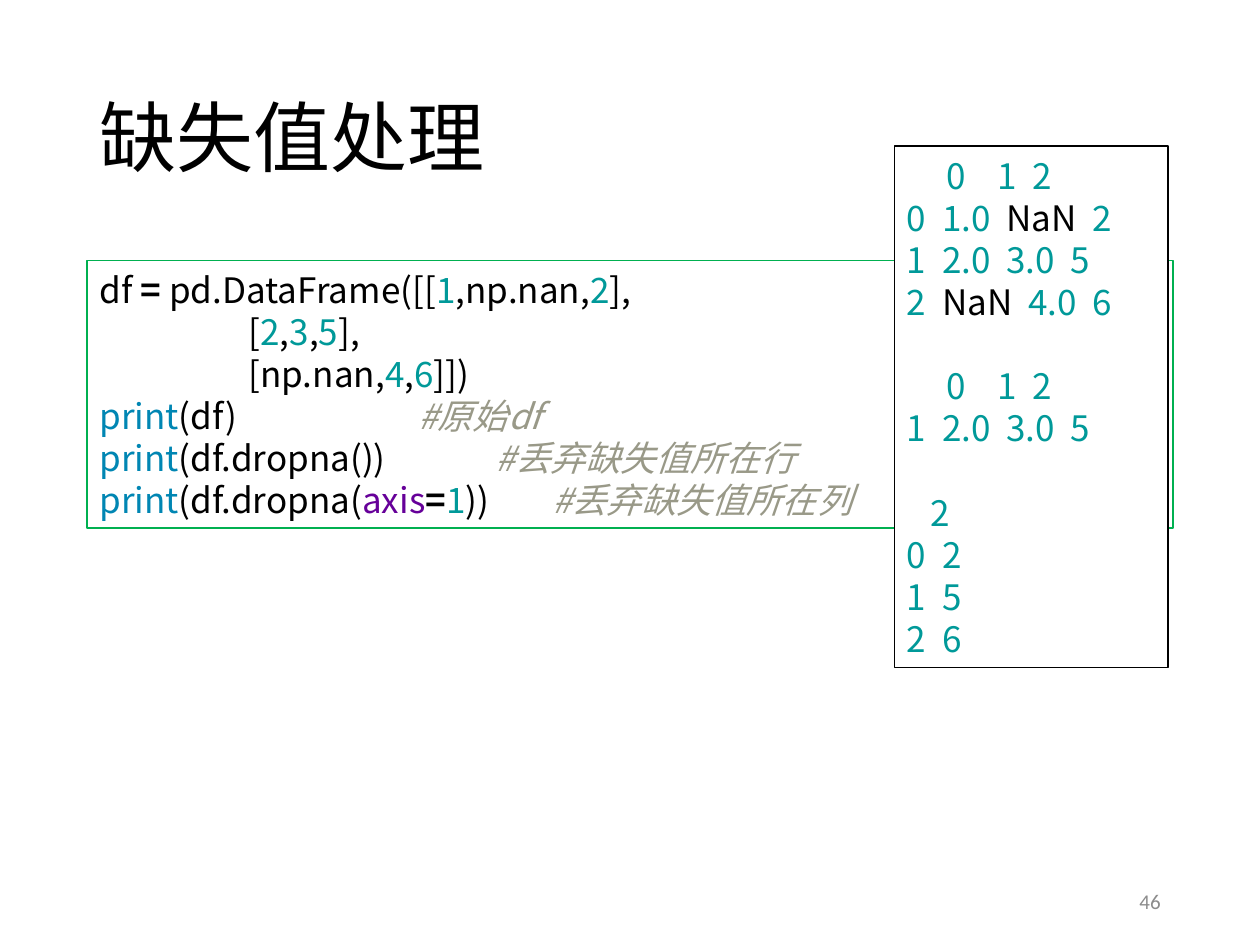
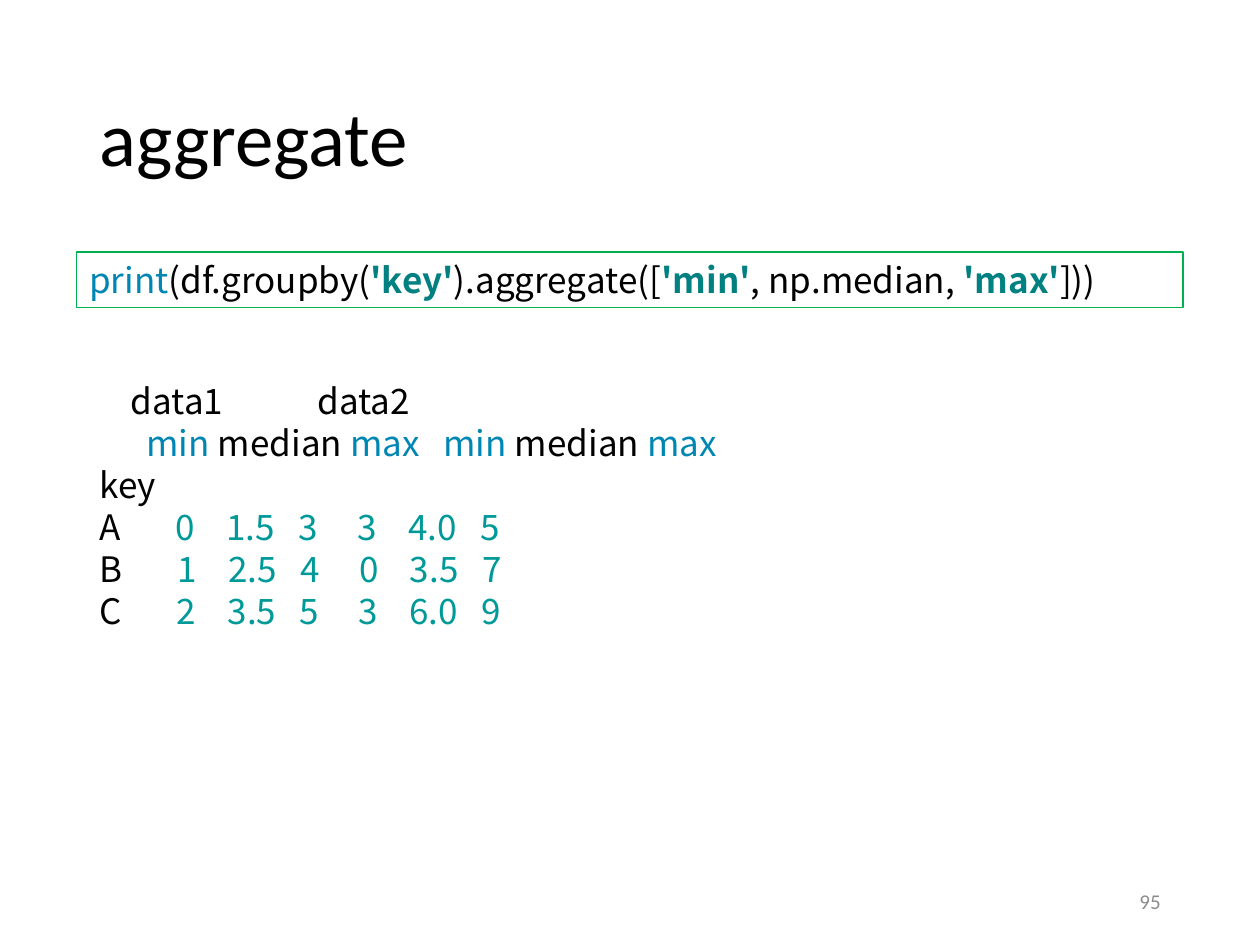
from pptx import Presentation
from pptx.dml.color import RGBColor
from pptx.enum.shapes import MSO_SHAPE as Shape
from pptx.enum.text import MSO_ANCHOR as Anchor, PP_ALIGN as Align
from pptx.oxml.ns import qn
from pptx.util import Inches, Pt
from lxml.etree import SubElement

BLACK = RGBColor(0x00, 0x00, 0x00)
WHITE = RGBColor(0xFF, 0xFF, 0xFF)
GREEN = RGBColor(0x00, 0xB0, 0x50)
GREY = RGBColor(0x8C, 0x8C, 0x8C)
TEAL = RGBColor(0x00, 0x99, 0x99)
DARK_TEAL = RGBColor(0x00, 0x80, 0x80)
BLUE = RGBColor(0x00, 0x86, 0xB3)
PURPLE = RGBColor(0x66, 0x00, 0x99)
OLIVE = RGBColor(0x99, 0x99, 0x88)

TITLE_FONT = "Calibri"
CODE_FONT = "Noto Sans CJK SC"
CODE_LINE = Pt(24)

# Syntax styles: colour, bold, italic
PLAIN = (BLACK, False, False)
OPERATOR = (BLACK, True, False)
NUMBER = (TEAL, False, False)
BUILTIN = (BLUE, False, False)
OPTION = (PURPLE, False, False)
STRING = (DARK_TEAL, True, False)
COMMENT = (OLIVE, False, True)

# Places are left, top, width, height in percent of the slide
TITLE_PLACE = (6.9, 5.33, 86.2, 19.33)
NUMBER_PLACE = (70.6, 92.67, 22.5, 5.33)

INDENT = " " * 19
dropna_code = [
    [("df ", PLAIN), ("= ", OPERATOR), ("pd.DataFrame([[", PLAIN), ("1", NUMBER),
     (",np.nan,", PLAIN), ("2", NUMBER), ("],", PLAIN)],
    [(INDENT + "[", PLAIN), ("2", NUMBER), (",", PLAIN), ("3", NUMBER),
     (",", PLAIN), ("5", NUMBER), ("],", PLAIN)],
    [(INDENT + "[np.nan,", PLAIN), ("4", NUMBER), (",", PLAIN), ("6", NUMBER),
     ("]])", PLAIN)],
    [("print", BUILTIN), ("(df)                       ", PLAIN), ("#原始df", COMMENT)],
    [("print", BUILTIN), ("(df.dropna())              ", PLAIN),
     ("#丢弃缺失值所在行", COMMENT)],
    [("print", BUILTIN), ("(df.dropna(", PLAIN), ("axis", OPTION), ("=", OPERATOR),
     ("1", NUMBER), ("))        ", PLAIN), ("#丢弃缺失值所在列", COMMENT)],
]
original_frame = [
    [("     0    1  2", NUMBER)],
    [("0  1.0  ", NUMBER), ("NaN  ", PLAIN), ("2", NUMBER)],
    [("1  2.0  3.0  5", NUMBER)],
    [("2  ", NUMBER), ("NaN  ", PLAIN), ("4.0  6", NUMBER)],
]
rows_dropped = [[("     0    1  2", NUMBER)], [("1  2.0  3.0  5", NUMBER)]]
columns_dropped = [[(line, NUMBER)] for line in ("   2", "0  2", "1  5", "2  6")]

aggregate_code = [
    [("print", BUILTIN), ("(df.groupby(", PLAIN), ("'key'", STRING),
     (").aggregate([", PLAIN), ("'min'", STRING), (", np.median, ", PLAIN),
     ("'max'", STRING), ("]))", PLAIN)],
]
aggregate_result = [
    [("    data1            data2", PLAIN)],
    [("      ", PLAIN), ("min ", BUILTIN), ("median ", PLAIN), ("max   min ", BUILTIN),
     ("median ", PLAIN), ("max", BUILTIN)],
    [("key", PLAIN)],
    [("A       ", PLAIN), ("0    1.5   3     3    4.0   5", NUMBER)],
    [("B       ", PLAIN), ("1    2.5   4     0    3.5   7", NUMBER)],
    [("C       ", PLAIN), ("2    3.5   5     3    6.0   9", NUMBER)],
]

# Each slide: title, number, panels of (place, border colour, blocks of lines)
slides = [
    ("缺失值处理", "46", [
        ((6.9, 27.6, 86.2, 28.27), GREEN, [dropna_code]),
        ((71, 15.47, 21.7, 55.2), BLACK, [original_frame, rows_dropped, columns_dropped]),
    ]),
    ("aggregate", "95", [
        ((6.1, 26.67, 87.8, 5.87), GREEN, [aggregate_code]),
        ((6.9, 39.33, 53.9, 28.27), None, [aggregate_result]),
    ]),
]

deck = Presentation()
deck.slide_width, deck.slide_height = Inches(10), Inches(7.5)


def bounds(place):
    """Turn percentages of the slide into lengths."""
    sides = (deck.slide_width, deck.slide_height) * 2
    return [round(side * share / 100) for side, share in zip(sides, place)]


def format_span(span, name, size, color):
    span.font.name, span.font.size = name, Pt(size)
    span.font.color.rgb = color
    SubElement(span._r.get_or_add_rPr(), qn("a:ea"), typeface=CODE_FONT)


for title_text, number, panels in slides:
    page = deck.slides.add_slide(deck.slide_layouts[5])
    title = page.shapes.title
    title.left, title.top, title.width, title.height = bounds(TITLE_PLACE)
    title.text_frame.text = title_text
    title.text_frame.vertical_anchor = Anchor.MIDDLE
    para = title.text_frame.paragraphs[0]
    para.alignment, para.line_spacing = Align.LEFT, 0.9
    format_span(para.runs[0], TITLE_FONT, 44, BLACK)

    for place, border, blocks in panels:
        panel = page.shapes.add_shape(Shape.RECTANGLE, *bounds(place))
        panel.shadow.inherit = False
        panel.fill.solid()
        panel.fill.fore_color.rgb = WHITE
        if border is None:
            panel.line.fill.background()
        else:
            panel.line.color.rgb = border
            panel.line.width = Pt(0.75)
        frame = panel.text_frame
        frame.word_wrap, frame.vertical_anchor = True, Anchor.MIDDLE
        para = frame.paragraphs[0]
        for block_index, block in enumerate(blocks):
            for line_index, line in enumerate(block):
                if block_index or line_index:
                    para = frame.add_paragraph()
                if block_index and not line_index:
                    para.space_before = CODE_LINE
                para.alignment, para.line_spacing = Align.LEFT, CODE_LINE
                for text, (color, bold, italic) in line:
                    span = para.add_run()
                    span.text = text
                    span.font.bold, span.font.italic = bold, italic
                    format_span(span, CODE_FONT, 20, color)

    number_box = page.shapes.add_textbox(*bounds(NUMBER_PLACE))
    number_box.text_frame.word_wrap = True
    number_box.text_frame.vertical_anchor = Anchor.MIDDLE
    number_box.text_frame.text = number
    para = number_box.text_frame.paragraphs[0]
    para.alignment = Align.RIGHT
    format_span(para.runs[0], TITLE_FONT, 12, GREY)

deck.save("out.pptx")
